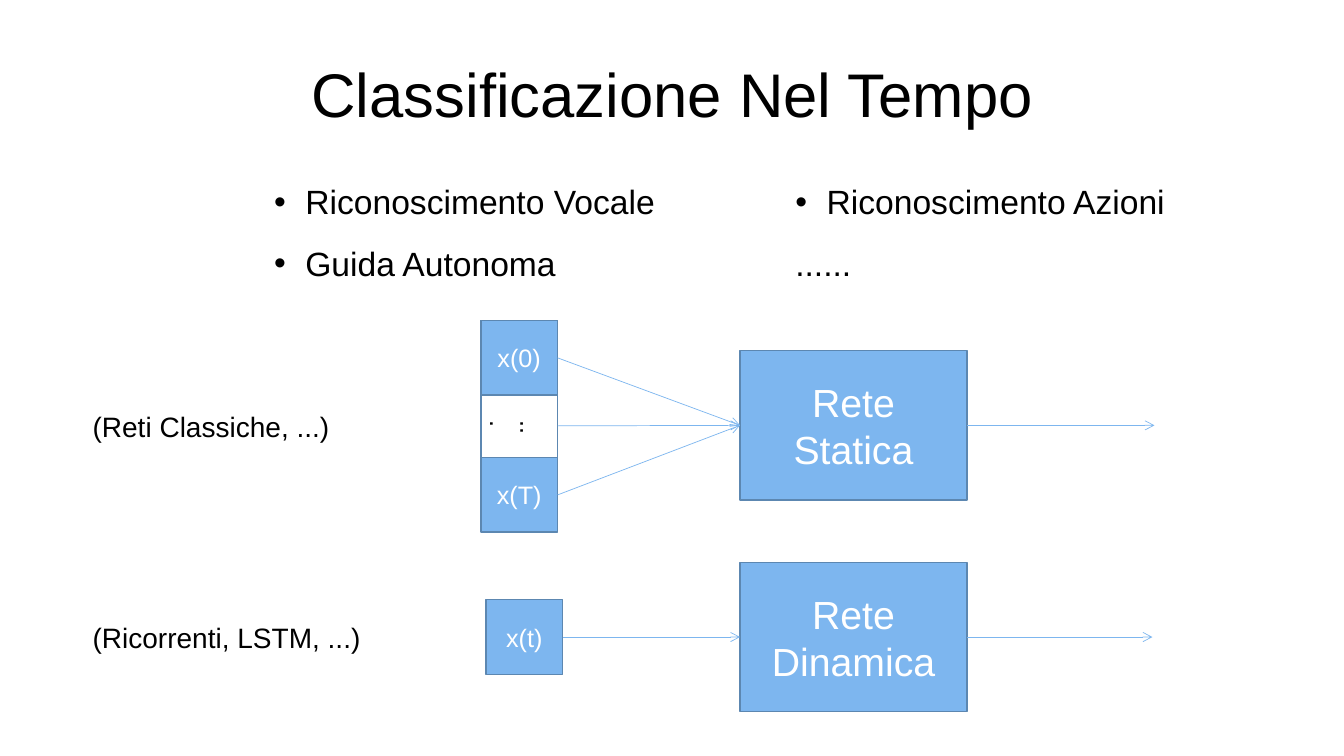
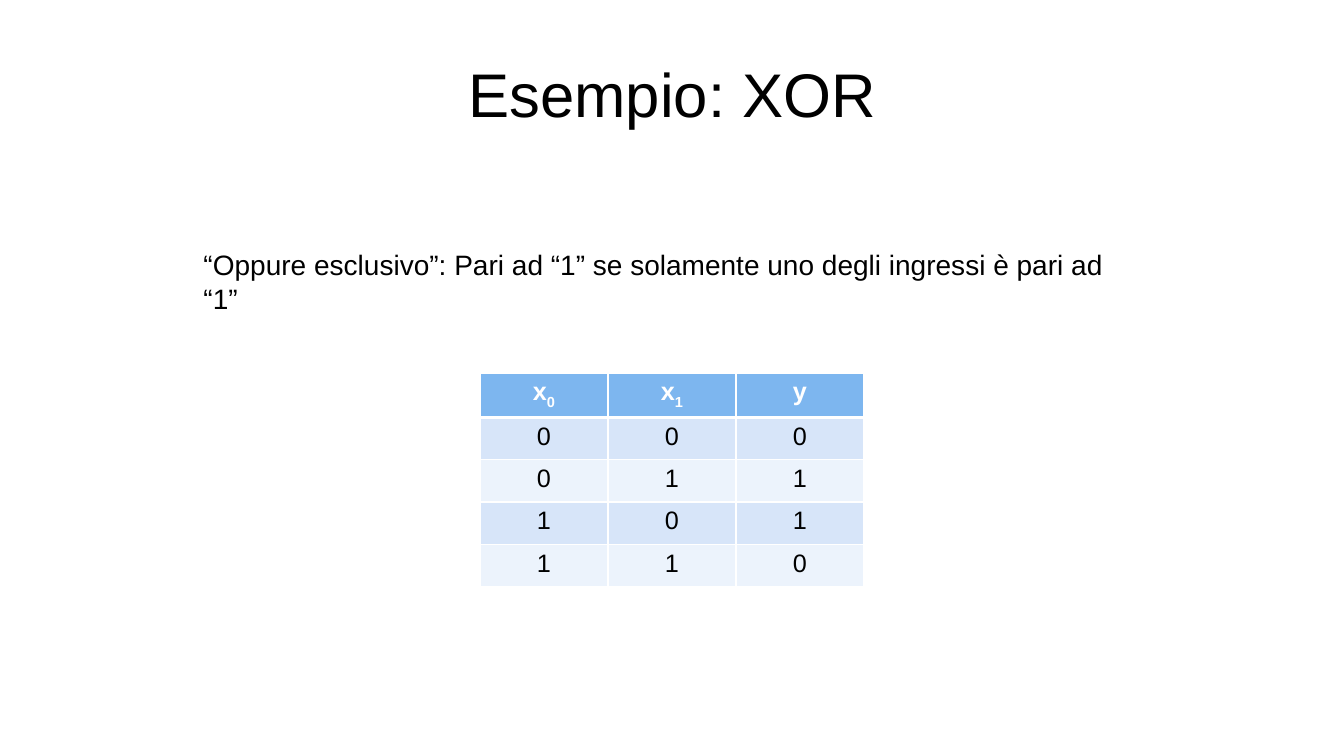
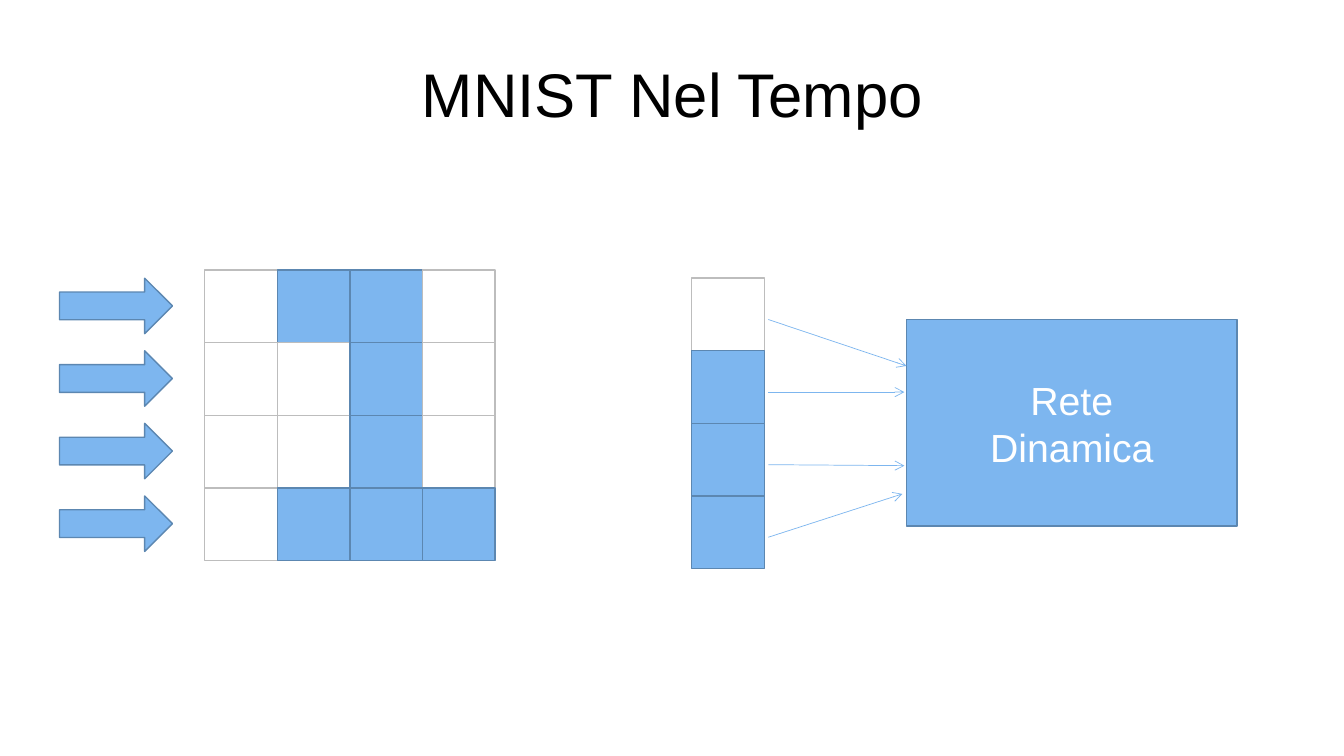
from pptx import Presentation
from pptx.dml.color import RGBColor
from pptx.enum.shapes import MSO_CONNECTOR, MSO_SHAPE
from pptx.enum.text import MSO_ANCHOR, PP_ALIGN
from pptx.oxml.ns import qn
from pptx.oxml.xmlchemy import OxmlElement
from pptx.util import Pt

PX = 9144  # EMU per px, 100 px to the inch
RECT, RIGHT_ARROW = MSO_SHAPE.RECTANGLE, MSO_SHAPE.RIGHT_ARROW
STRAIGHT = MSO_CONNECTOR.STRAIGHT
LEFT, CENTER = PP_ALIGN.LEFT, PP_ALIGN.CENTER
TOP, MIDDLE = MSO_ANCHOR.TOP, MSO_ANCHOR.MIDDLE
SIDE_LEFT, SIDE_RIGHT = 1, 3

FONT = "Arial"
BLACK = RGBColor(0x00, 0x00, 0x00)
WHITE = RGBColor(0xFF, 0xFF, 0xFF)
BLUE = RGBColor(0x7D, 0xB6, 0xEF)
EDGE = RGBColor(0x5C, 0x87, 0xB1)
GREY = RGBColor(0xBD, 0xBD, 0xBD)
BANDS = (RGBColor(0xEC, 0xF3, 0xFC), RGBColor(0xD7, 0xE5, 0xF9))

DIGIT = ("0110", "0010", "0010", "0111")
CELL = 72
XOR = ("000", "011", "101", "110")


def px(*values):
    return [round(v * PX) for v in values]


def sub(parent, tag, **attrs):
    """Append a child element with the given attributes."""
    el = OxmlElement(tag)
    for name, value in attrs.items():
        el.set(name, str(value))
    parent.append(el)
    return el


# Text
def add_run(p, text, size, color, **extra):
    r = p.add_run()
    r.text = text
    for name, value in {"name": FONT, "size": Pt(size), **extra}.items():
        setattr(r.font, name, value)
    r.font.color.rgb = color
    return r


def write(tf, text, size, color, align=LEFT, anchor=TOP):
    for name, value in {"word_wrap": True, "vertical_anchor": anchor}.items():
        setattr(tf, name, value)
    for i, line in enumerate(text.split("\n")):
        p = tf.add_paragraph() if i else tf.paragraphs[0]
        p.alignment = align
        add_run(p, line, size, color)


def add_text(s, box, text, size, **layout):
    tf = s.shapes.add_textbox(*px(*box)).text_frame
    write(tf, text, size, BLACK, **layout)
    return tf


def add_bullet(s, box, text):
    tf = add_text(s, box, text, 24)
    pPr = tf.paragraphs[0]._p.get_or_add_pPr()
    indent = 31 * PX
    pPr.set("marL", str(indent))
    pPr.set("indent", str(-indent))
    sub(pPr, "a:buFont", typeface=FONT)
    sub(pPr, "a:buChar", char="•")


# Shapes
def add_box(s, box, text="", size=18, fill=BLUE, line=EDGE, kind=RECT):
    sp = s.shapes.add_shape(kind, *px(*box))
    sp.shadow.inherit = False
    if fill is None:
        sp.fill.background()
    else:
        sp.fill.solid()
        sp.fill.fore_color.rgb = fill
    sp.line.color.rgb = line
    sp.line.width = Pt(1)
    if text:
        write(sp.text_frame, text, size, WHITE, CENTER, MIDDLE)
    return sp


def add_pixel(s, x, y, on):
    fill, line = (BLUE, EDGE) if on else (WHITE, GREY)
    add_box(s, (x, y, CELL, CELL), fill=fill, line=line)


def add_arrow(s, start=(0, 0), end=(0, 0), source=None, target=None):
    """Draw an arrow between points, or from and to the sides of boxes."""
    c = s.shapes.add_connector(STRAIGHT, *px(*start, *end))
    if source is not None:
        c.begin_connect(source, SIDE_RIGHT)
    if target is not None:
        c.end_connect(target, SIDE_LEFT)
    c.line.color.rgb = BLUE
    c.line.width = Pt(0.5)
    spPr = c._element.spPr
    sub(spPr.find(qn("a:ln")), "a:tailEnd", type="arrow")
    sub(spPr, "a:effectLst")


# Table
def style_cell(cell, fill, top=1, bottom=1):
    tcPr = cell._tc.get_or_add_tcPr()
    for side, width in {"L": 1, "R": 1, "T": top, "B": bottom}.items():
        ln = sub(tcPr, f"a:ln{side}", w=Pt(width))
        sub(sub(ln, "a:solidFill"), "a:srgbClr", val=WHITE)
    cell.fill.solid()
    cell.fill.fore_color.rgb = fill


def add_truth_table(s, x, y, header, rows, col_w=127, row_h=42):
    n_rows, n_cols = len(rows) + 1, len(header)
    frame = s.shapes.add_table(
        n_rows, n_cols, *px(x, y, col_w * n_cols, row_h * n_rows))
    table = frame.table
    for c, (name, index) in enumerate(header):
        cell = table.cell(0, c)
        style_cell(cell, BLUE, bottom=3)
        p = cell.text_frame.paragraphs[0]
        p.alignment = CENTER
        add_run(p, name, 18, WHITE, bold=True)
        if index:
            r = add_run(p, index, 18, WHITE, bold=True)
            r._r.get_or_add_rPr().set("baseline", "-25000")
    for r, row in enumerate(rows, 1):
        for c, value in enumerate(row):
            cell = table.cell(r, c)
            style_cell(cell, BANDS[r % 2], top=3 if r == 1 else 1)
            p = cell.text_frame.paragraphs[0]
            p.alignment = CENTER
            add_run(p, value, 18, BLACK, bold=False)


# Slides
def new_slide(prs, title):
    s = prs.slides.add_slide(prs.slide_layouts[6])
    add_text(s, (67, 30, 1200, 125), title, 44, align=CENTER, anchor=MIDDLE)
    return s


def time_classification(prs):
    s = new_slide(prs, "Classificazione Nel Tempo")
    add_bullet(s, (262, 175, 439, 50), "Riconoscimento Vocale")
    add_bullet(s, (262, 236, 439, 50), "Guida Autonoma")
    add_bullet(s, (779, 175, 439, 50), "Riconoscimento Azioni")
    add_text(s, (779, 236, 439, 50), "......", 24)
    add_text(s, (82, 401, 294, 44), "(Reti Classiche, ...)", 20)
    add_text(s, (82, 611, 294, 44), "(Ricorrenti, LSTM, ...)", 20)

    # Static network: the whole sequence at once
    static = add_box(s, (734, 348, 225, 148), "Rete Statica", 28)
    sequence = add_box(s, (477, 318, 76, 209), fill=None)
    first = add_box(s, (477, 318, 76, 74), "x(0)")
    last = add_box(s, (477, 454, 76, 74), "x(T)")
    dots = add_text(s, (496, 407, 50, 38), "...", 18)
    dots._txBody.bodyPr.set("vert", "eaVert")
    for source in (sequence, first, last):
        add_arrow(s, source=source, target=static)
    add_arrow(s, end=(1145, 422), source=static)

    # Dynamic network: one step at a time
    dynamic = add_box(s, (734, 558, 225, 148), "Rete Dinamica", 28)
    step = add_box(s, (482, 595, 76, 74), "x(t)")
    add_arrow(s, source=step, target=dynamic)
    add_arrow(s, end=(1143, 632), source=dynamic)


def xor_example(prs):
    s = new_slide(prs, "Esempio: XOR")
    add_text(s, (192, 241, 950, 44),
             "“Oppure esclusivo”: Pari ad “1” se solamente uno "
             "degli ingressi è pari ad “1”", 20)
    add_truth_table(s, 476, 370, (("x", "0"), ("x", "1"), ("y", "")), XOR)


def mnist_in_time(prs):
    s = new_slide(prs, "MNIST Nel Tempo")
    # Digit grid, with one arrow per row
    for r, row in enumerate(DIGIT):
        for c, bit in enumerate(row):
            add_pixel(s, 203 + c * CELL, 268 + r * CELL, bit == "1")
        add_box(s, (59, 276 + r * CELL, 112, 55), kind=RIGHT_ARROW)

    # One row of the digit, turned upright and fed to the network
    add_box(s, (899, 317, 328, 205), "Rete\nDinamica", 28)
    targets = ((899, 363), (897, 389), (897, 462), (895, 490))
    for i, (bit, target) in enumerate(zip(DIGIT[-1], targets)):
        add_pixel(s, 686, 276 + i * CELL, bit == "1")
        add_arrow(s, (762, 317 + i * CELL), target)


def main():
    prs = Presentation()
    prs.slide_width, prs.slide_height = px(1333, 750)
    time_classification(prs)
    xor_example(prs)
    mnist_in_time(prs)
    prs.save("out.pptx")


if __name__ == "__main__":
    main()
